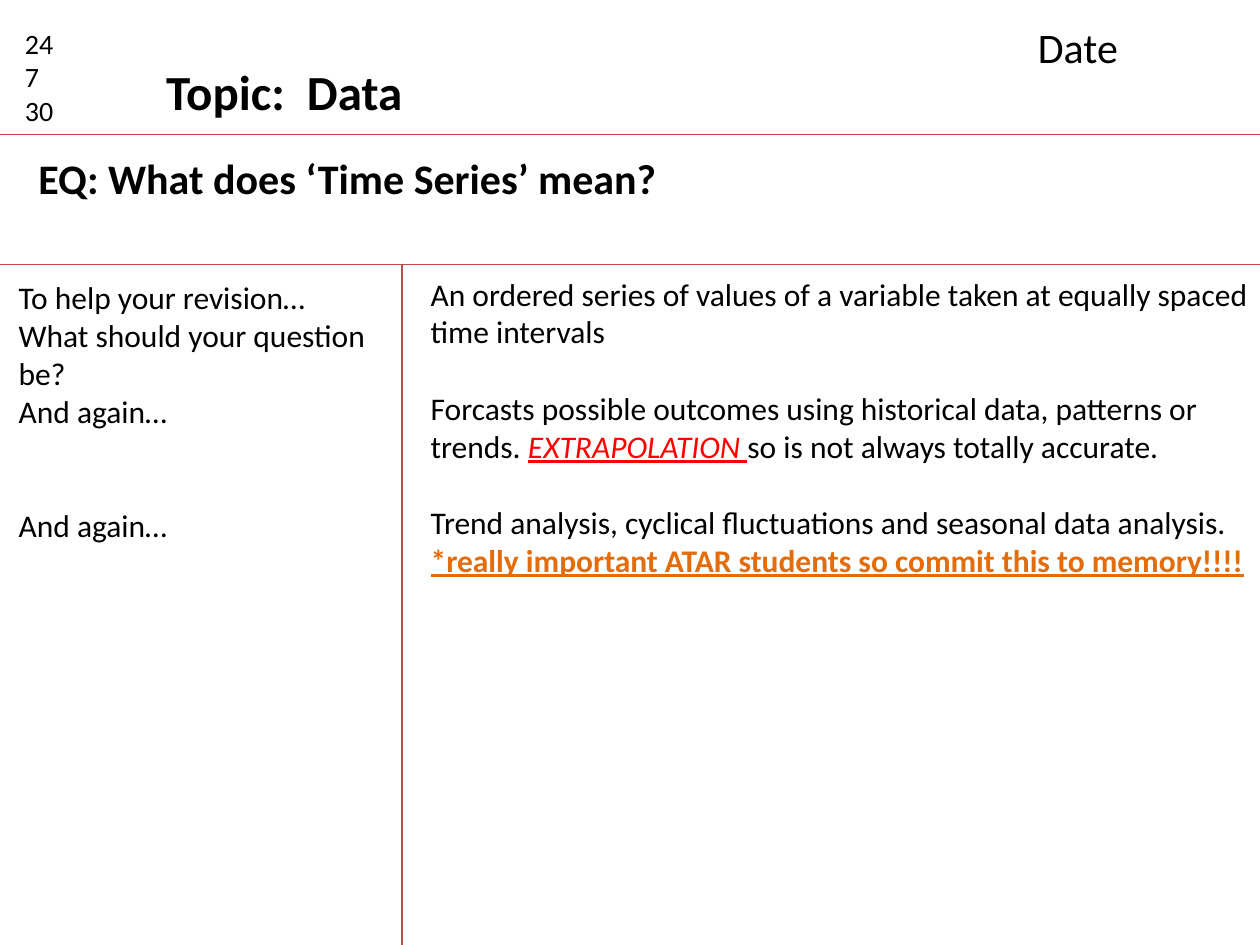
from lxml import etree
from pptx import Presentation
from pptx.dml.color import RGBColor
from pptx.enum.shapes import MSO_CONNECTOR as Connector
from pptx.enum.text import MSO_ANCHOR as Anchor, MSO_AUTO_SIZE as AutoSize, PP_ALIGN as Align
from pptx.oxml.ns import qn
from pptx.util import Pt

COLORS = {"text": "000000", "rule": "BF4C48", "alert": "FF0000", "key": "E46C0A"}
FONT = "Calibri"
WIDTH, HEIGHT = 720, 540
TOPIC_RULE, QUESTION_RULE, COLUMN_RULE = 77, 151.2, 229.7
LINE = 22  # height of one 18 pt line

CUES = [
    ("To help your revision…", 0),
    ("What should your question be?", 0),
    ("And again…", 0),
    ("And again…", 2 * LINE),
]
NOTES = [
    ([("An ordered series of values of a variable taken at equally spaced time intervals", {})], 0),
    ([("Forcasts possible outcomes using historical data, patterns or trends. ", {}),
      ("EXTRAPOLATION ", {"color": "alert", "italic": True, "underline": True}),
      ("so is not always totally accurate.", {})], LINE),
    ([("Trend analysis, cyclical fluctuations and seasonal data analysis.", {})], LINE),
    ([("*really important ATAR students so commit this to memory!!!!",
       {"color": "key", "bold": True, "underline": True})], 0),
]


def add_span(para, text, size=18, color="text", bold=False, italic=False, underline=False):
    span = para.add_run()
    span.text = text
    font = span.font
    font.name, font.size = FONT, Pt(size)
    font.bold, font.italic, font.underline = bold, italic, underline
    font.color.rgb = RGBColor.from_string(COLORS[color])


def add_paragraphs(frame, paragraphs, **style):
    """Each paragraph is a list of (text, format) spans and the space before it."""
    for index, (spans, gap) in enumerate(paragraphs):
        para = frame.add_paragraph() if index else frame.paragraphs[0]
        para.alignment = Align.LEFT
        if gap:
            para.space_before = Pt(gap)
        for text, extra in spans:
            add_span(para, text, **{**style, **extra})


def add_box(page, box, paragraphs, **style):
    frame = page.shapes.add_textbox(*map(Pt, box)).text_frame
    frame.word_wrap = True
    add_paragraphs(frame, paragraphs, **style)
    return frame


def add_rule(page, x1, y1, x2, y2):
    rule = page.shapes.add_connector(Connector.STRAIGHT, *map(Pt, (x1, y1, x2, y2)))
    rule.line.color.rgb = RGBColor.from_string(COLORS["rule"])
    rule.line.width = Pt(0.75)
    etree.SubElement(rule._element.spPr, qn("a:effectLst"))


def add_header(page, left, top, width):
    # Numbers at the left, date at the right
    numbers = [([(number, {})], 0) for number in ("24", "7", "30")]
    add_box(page, (left + 7.2, top + 11.5, 45, 65.5), numbers, size=16)
    add_box(page, (left + width - 134, top + 8.6, 124.5, 36), [([("Date", {})], 0)], size=24)

    # Topic
    title = page.shapes.title
    title.left, title.top, title.width, title.height = map(Pt, (left + 87.8, top + 31.7, 151, 42))
    frame = title.text_frame
    frame.word_wrap = False
    frame.auto_size = AutoSize.NONE
    frame.vertical_anchor = Anchor.TOP
    add_paragraphs(frame, [([("Topic:  Data", {})], 0)], size=28, bold=True)


def add_question(page, left, top, width):
    frame = add_box(page, (left + 9.4, top + 6.5, width - 41, 36),
                    [([("EQ: What does ‘Time Series’ mean?", {})], 0)], size=24, bold=True)
    frame.margin_left = Pt(12.6)


def add_cues(page, left, top, width):
    add_box(page, (left + 3.6, top + 4.3, width - 11.5, 225),
            [([(text, {})], gap) for text, gap in CUES])


def add_notes(page, left, top, width):
    frame = add_box(page, (left + 9.3, top + 2.2, width - 9.3, 247), NOTES)
    frame.margin_right = 0


def main():
    deck = Presentation()
    deck.slide_width, deck.slide_height = Pt(WIDTH), Pt(HEIGHT)
    page = deck.slides.add_slide(deck.slide_layouts[5])

    # Rules between the regions
    for y in (TOPIC_RULE, QUESTION_RULE):
        add_rule(page, 0, y, WIDTH, y)
    add_rule(page, COLUMN_RULE, QUESTION_RULE, COLUMN_RULE, HEIGHT)

    # Regions
    add_header(page, 0, 0, WIDTH)
    add_question(page, 0, TOPIC_RULE, WIDTH)
    add_cues(page, 0, QUESTION_RULE, COLUMN_RULE)
    add_notes(page, COLUMN_RULE, QUESTION_RULE, WIDTH - COLUMN_RULE)
    deck.save("out.pptx")


if __name__ == "__main__":
    main()
